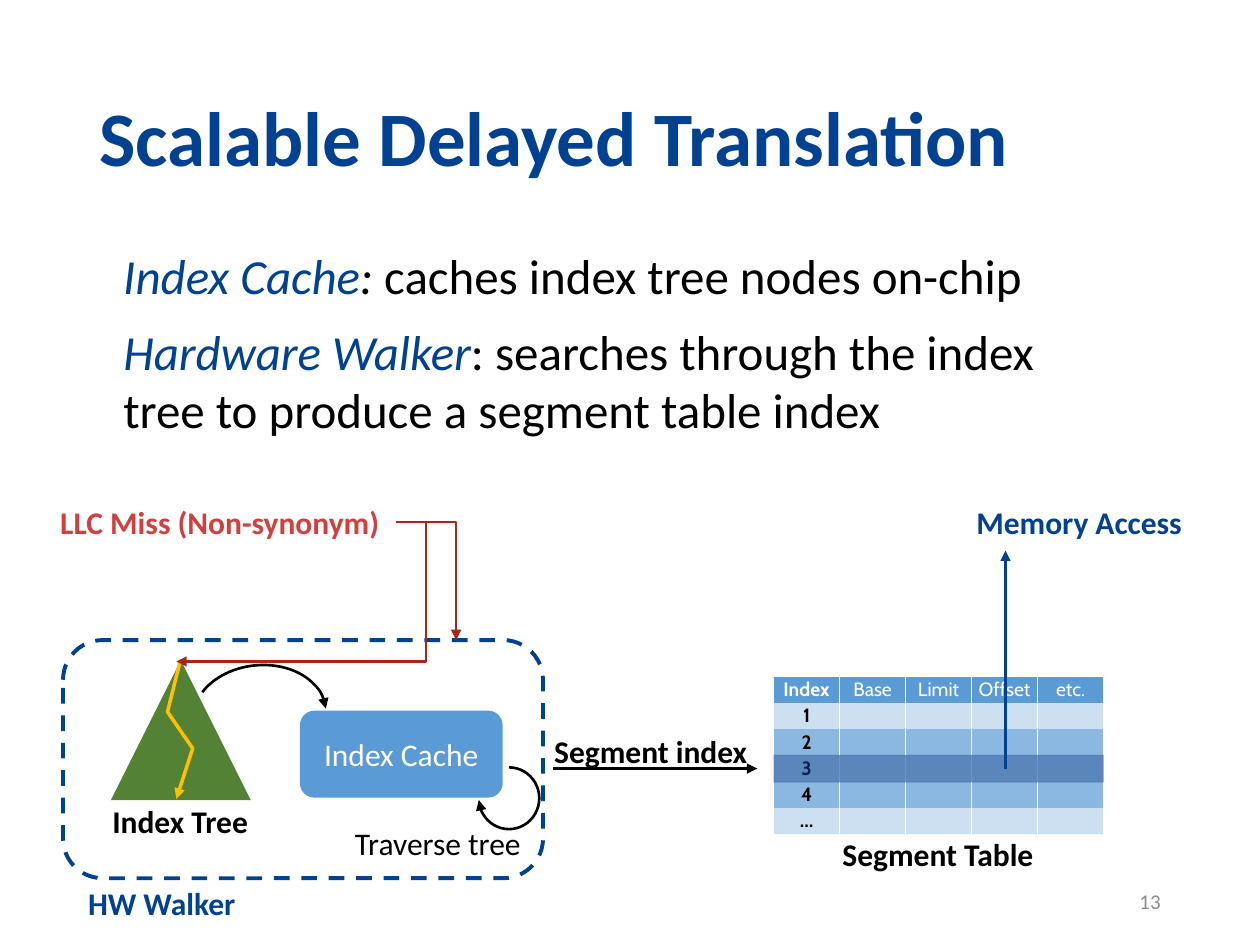
"""Build the slide on scalable delayed translation."""
from dataclasses import dataclass

from lxml import etree
from pptx import Presentation
from pptx.dml.color import RGBColor
from pptx.enum.dml import MSO_LINE
from pptx.enum.shapes import MSO_CONNECTOR, MSO_SHAPE
from pptx.enum.text import MSO_ANCHOR, PP_ALIGN
from pptx.oxml.ns import qn
from pptx.util import Inches, Pt

ARC, RECTANGLE = MSO_SHAPE.ARC, MSO_SHAPE.RECTANGLE
ROUNDED, TRIANGLE = MSO_SHAPE.ROUNDED_RECTANGLE, MSO_SHAPE.ISOSCELES_TRIANGLE
STRAIGHT, ELBOW = MSO_CONNECTOR.STRAIGHT, MSO_CONNECTOR.ELBOW
LEFT, CENTER, RIGHT = PP_ALIGN.LEFT, PP_ALIGN.CENTER, PP_ALIGN.RIGHT
TOP, MIDDLE = MSO_ANCHOR.TOP, MSO_ANCHOR.MIDDLE
DASH = MSO_LINE.DASH
COLUMNS, ROWS = 100, 75
PLAIN_TABLE = "{2D5ABB26-0587-4C30-8999-92F81FD0307C}"


@dataclass(frozen=True)
class Theme:
    font: str = "Calibri"
    table_font: str = "Cabin"
    navy: str = "004191"
    blue: str = "5B9BD5"
    red: str = "D1403E"
    dark_red: str = "AF2412"
    green: str = "548235"
    gold: str = "FFC000"
    gray: str = "8C8C8C"
    black: str = "000000"
    white: str = "FFFFFF"
    title: int = 44
    body: int = 28
    label: int = 18
    number: int = 12
    cell: int = 11


class SlideBuilder:
    """Hold the theme and the current slide, and draw on a 100 by 75 grid."""

    def __init__(self, presentation, theme):
        self.theme = theme
        self.column = presentation.slide_width / COLUMNS
        self.row = presentation.slide_height / ROWS
        self.slide = presentation.slides.add_slide(presentation.slide_layouts[6])
        self.shapes = self.slide.shapes

    def place(self, *lengths):
        """Turn alternating columns and rows into slide units."""
        units = (self.column, self.row)
        return [round(length * units[i % 2]) for i, length in enumerate(lengths)]

    def font(self, font, size, color, bold=False, name=None):
        font.name, font.size, font.bold = name or self.theme.font, Pt(size), bold
        font.color.rgb = RGBColor.from_string(color)

    def fill(self, fill, color, opacity=100):
        fill.solid()
        fill.fore_color.rgb = RGBColor.from_string(color)
        if opacity < 100:
            for tag in fill._xPr.iter(qn("a:srgbClr")):
                etree.SubElement(tag, qn("a:alpha"), val=str(opacity * 1000))

    def stroke(self, line, color, width, dash=None, arrow=False):
        line.color.rgb, line.width = RGBColor.from_string(color), Pt(width)
        if dash:
            line.dash_style = dash
        if arrow:
            etree.SubElement(line._get_or_add_ln(), qn("a:tailEnd"), type="triangle")

    def text(self, box, text, size, color, bold=False, align=LEFT, anchor=TOP,
             wrap=False, spacing=None):
        frame = self.shapes.add_textbox(*self.place(*box)).text_frame
        frame.word_wrap, frame.vertical_anchor = wrap, anchor
        paragraph = frame.paragraphs[0]
        paragraph.text, paragraph.alignment = text, align
        if spacing:
            paragraph.line_spacing = spacing
        self.font(paragraph.font, size, color, bold)

    def label(self, box, text, color=None, bold=True, align=CENTER):
        theme = self.theme
        self.text(box, text, theme.label, color or theme.black, bold, align)

    def definition(self, box, *runs):
        """Write one wrapped paragraph from (text, color, italic) runs."""
        frame = self.shapes.add_textbox(*self.place(*box)).text_frame
        frame.word_wrap = True
        for text, color, italic in runs:
            run = frame.paragraphs[0].add_run()
            run.text, run.font.italic = text, italic
            self.font(run.font, self.theme.body, color)

    def shape(self, kind, box, fill=None, opacity=100, line=None, text=None,
              rotation=0, adjustments=()):
        shape = self.shapes.add_shape(kind, *self.place(*box))
        shape.shadow.inherit, shape.rotation = False, rotation
        for index, value in enumerate(adjustments):
            shape.adjustments[index] = value
        if fill:
            self.fill(shape.fill, fill, opacity)
        else:
            shape.fill.background()
        if line:
            self.stroke(shape.line, **line)
        else:
            shape.line.fill.background()
        if text:
            shape.text_frame.vertical_anchor = MIDDLE
            paragraph = shape.text_frame.paragraphs[0]
            paragraph.text, paragraph.alignment = text, CENTER
            self.font(paragraph.font, self.theme.label, self.theme.white)

    def zigzag(self, points, line):
        start, *others = [self.place(*point) for point in points]
        builder = self.shapes.build_freeform(*start)
        builder.add_line_segments(others, close=False)
        shape = builder.convert_to_shape()
        shape.shadow.inherit = False
        shape.fill.background()
        self.stroke(shape.line, **line)

    def arrow(self, ends, color, width, kind=STRAIGHT, preset=None, bend=None):
        connector = self.shapes.add_connector(kind, *self.place(*ends))
        self.stroke(connector.line, color, width, arrow=True)
        properties = connector.element.spPr
        etree.SubElement(properties, qn("a:effectLst"))
        geometry = properties.find(qn("a:prstGeom"))
        if preset:
            geometry.set("prst", preset)
        if bend is not None:
            guides = geometry.find(qn("a:avLst"))
            if guides is None:
                guides = etree.SubElement(geometry, qn("a:avLst"))
            etree.SubElement(guides, qn("a:gd"), name="adj1",
                             fmla=f"val {round(bend * 100000)}")

    def cell(self, cell, text, color, bold, opacity):
        theme = self.theme
        cell.margin_left = cell.margin_right = cell.margin_top = cell.margin_bottom = 0
        cell.vertical_anchor = MIDDLE
        paragraph = cell.text_frame.paragraphs[0]
        paragraph.text, paragraph.alignment = text, CENTER
        self.font(paragraph.font, theme.cell, color, bold, theme.table_font)
        if not text:
            etree.SubElement(paragraph._p, qn("a:endParaRPr"), sz=str(theme.cell * 100))
        self.fill(cell.fill, theme.blue, opacity)
        properties = cell._tc.get_or_add_tcPr()
        for index, side in enumerate(("a:lnL", "a:lnR")):
            border = etree.Element(qn(side), w=str(Pt(1)))
            solid = etree.SubElement(border, qn("a:solidFill"))
            etree.SubElement(solid, qn("a:srgbClr"), val=theme.white)
            properties.insert(index, border)

    def table(self, box, headings, indexes):
        """Draw a heading row above rows that hold only an index."""
        rows = [headings] + [[index] + [""] * (len(headings) - 1) for index in indexes]
        frame = self.shapes.add_table(len(rows), len(headings), *self.place(*box))
        table = frame.table
        table.first_row = table.horz_banding = False
        table._tbl.tblPr.find(qn("a:tableStyleId")).text = PLAIN_TABLE
        for i, texts in enumerate(rows):
            color = self.theme.black if i else self.theme.white
            opacity = (70 if i % 2 == 0 else 30) if i else 100
            for j, text in enumerate(texts):
                self.cell(table.cell(i, j), text, color, j == 0, opacity)


def main():
    presentation = Presentation()
    presentation.slide_width, presentation.slide_height = Inches(10), Inches(7.5)
    theme = Theme()
    page = SlideBuilder(presentation, theme)
    thin = {"color": theme.black, "width": 1.5, "arrow": True}

    page.text((6.9, 4, 86.2, 14.5), "Scalable Delayed Translation", theme.title,
              theme.navy, True, anchor=MIDDLE, wrap=True, spacing=0.9)
    page.text((70.6, 69.5, 22.5, 4), "13", theme.number, theme.gray,
              align=RIGHT, anchor=MIDDLE, wrap=True)
    page.label((3.8, 39.4, 27.6, 4), "LLC Miss (Non-synonym)", theme.red, align=LEFT)
    page.label((76.5, 39.4, 18.5, 4), "Memory Access", theme.navy, align=LEFT)

    page.shape(TRIANGLE, (8.8, 52.4, 11.1, 11.1), theme.green)
    page.zigzag([(14.3, 52.5), (13.3, 56.5), (15.3, 59.4), (14, 63.4)],
                {"color": theme.gold, "width": 2, "arrow": True})
    page.label((7.9, 63.2, 12.8, 4), "Index Tree")
    page.label((27.1, 64.9, 15.3, 4), "Traverse tree", bold=False)
    page.shape(ROUNDED, (23.8, 56.4, 16.1, 6.9), theme.blue, text="Index Cache")
    page.shape(ARC, (15.3, 52.8, 10.6, 8), line=thin, rotation=354,
               adjustments=(124.96, 0))
    page.shape(ARC, (38, 60.9, 4.8, 4.9), line=thin, adjustments=(162, 106.01))

    page.arrow((43.9, 61, 60.1, 61), theme.black, 1.5)
    page.label((42.9, 57.6, 17.5, 4), "Segment index")
    page.table((61.4, 53.7, 26.2, 12.5), ["Index", "Base", "Limit", "Offset", "etc."],
               ["1", "2", "3", "4", "…"])
    page.label((65.8, 65.8, 17.3, 4), "Segment Table")
    page.shape(RECTANGLE, (61.4, 59.9, 26.2, 2.2), theme.navy, opacity=56)
    page.arrow((79.8, 61, 79.8, 43.7), theme.navy, 1.25)

    page.shape(ROUNDED, (5, 50.8, 38.1, 18.9),
               line={"color": theme.navy, "width": 2.25, "dash": DASH})
    page.label((6, 69.7, 13.9, 4), "HW Walker", theme.navy, align=LEFT)
    page.definition((8.8, 19, 82.4, 5.7), ("Index Cache", theme.navy, True),
                    (":", theme.black, True),
                    (" caches index tree nodes on-chip", theme.black, False))
    page.arrow((31.4, 41.4, 14, 52.5), theme.dark_red, 1.25, ELBOW, bend=-0.14)
    page.arrow((31.4, 41.4, 36.2, 50.8), theme.dark_red, 1.25, ELBOW, "bentConnector2")
    page.definition((8.8, 25, 78.8, 10.4), ("Hardware Walker", theme.navy, True),
                    (": searches through the index tree to produce a segment table index",
                     theme.black, False))
    presentation.save("out.pptx")


if __name__ == "__main__":
    main()
